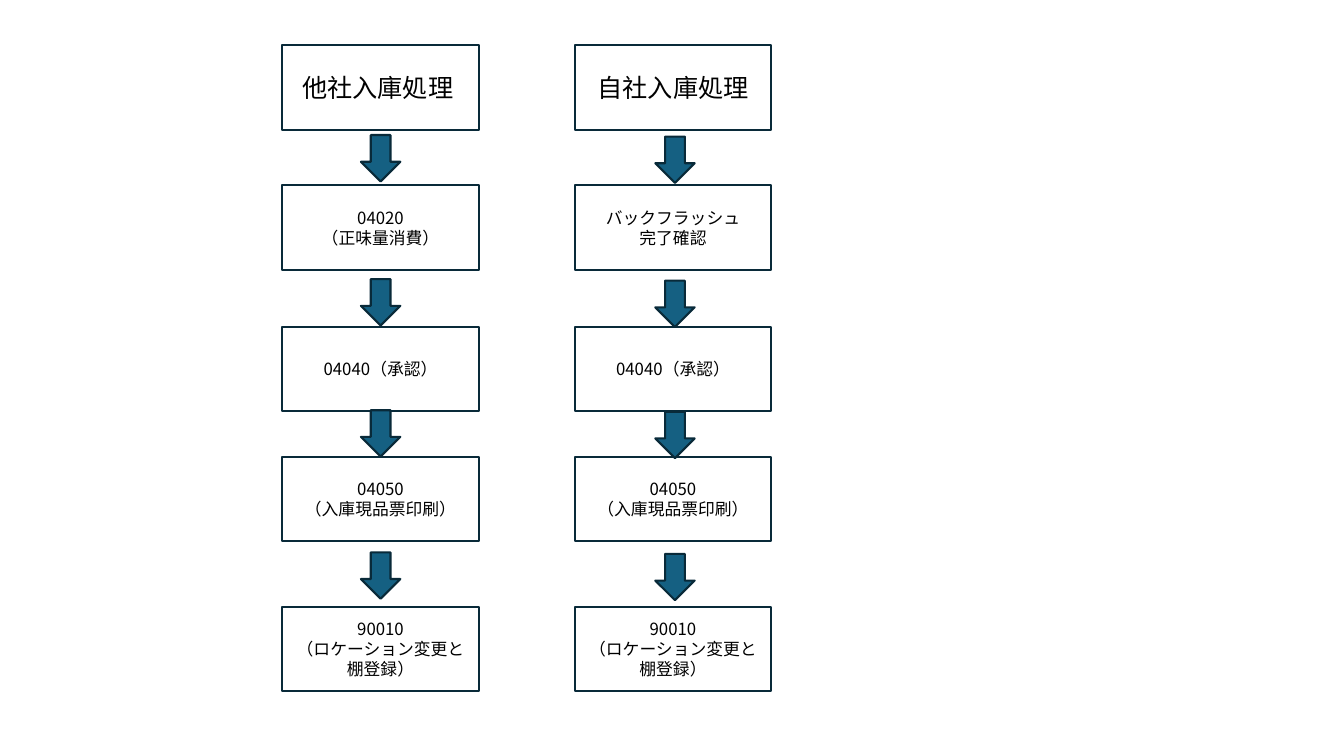
from dataclasses import dataclass

import lxml.etree
import pptx
import pptx.dml.color
import pptx.enum.shapes
import pptx.enum.text
import pptx.oxml.ns
import pptx.util

COLOURS = {"outline": "092A39", "arrow": "156082", "text": "000000"}
FONT = "Noto Sans CJK JP"

# The grid has 100 columns and 100 rows; all lengths below count them.
SLIDE_WIDTH = pptx.util.Inches(13.33)
SLIDE_HEIGHT = pptx.util.Inches(7.5)
COLUMN = SLIDE_WIDTH / 100
ROW = SLIDE_HEIGHT / 100

STEP_SIZE = (14.63, 11.2)
ARROW_SIZE = (2.93, 6.13)
STEP_TOPS = (6, 24.53, 43.2, 60.4, 80.27)
ARROW_TOPS = (17.87, 36.93, 54.27, 73.07)
HEADING_POINTS = 18
STEP_POINTS = 12


@dataclass(frozen=True)
class Flow:
    left: float
    arrow_left: float
    arrow_drop: float
    steps: tuple[str, ...]


# "\n" starts a paragraph, "\v" breaks a line.
SHARED_STEPS = (
    "04040（承認）",
    "04050\v（入庫現品票印刷）",
    "90010\v（ロケーション変更と棚登録）",
)
FLOWS = (
    Flow(21, 26.86, 0, ("他社入庫処理 ", "04020\n（正味量消費）", *SHARED_STEPS)),
    Flow(42.76, 48.76, 0.2, ("自社入庫処理", "バックフラッシュ\v完了確認", *SHARED_STEPS)),
)


def colour(name: str) -> pptx.dml.color.RGBColor:
    return pptx.dml.color.RGBColor.from_string(COLOURS[name])


def add_outlined(page, kind, left: float, top: float, size: tuple[float, float]):
    """Add an unfilled shape placed in grid units."""
    width, height = size
    box = page.shapes.add_shape(
        kind, round(left * COLUMN), round(top * ROW),
        round(width * COLUMN), round(height * ROW),
    )
    box.shadow.inherit = False
    box.fill.background()
    box.line.color.rgb = colour("outline")
    box.line.width = pptx.util.Pt(1.5)
    return box


def add_step(page, left: float, top: float, text: str, points: int) -> None:
    box = add_outlined(page, pptx.enum.shapes.MSO_SHAPE.RECTANGLE, left, top, STEP_SIZE)
    frame = box.text_frame
    frame.word_wrap = True
    frame.vertical_anchor = pptx.enum.text.MSO_ANCHOR.MIDDLE
    frame.text = text
    for para in frame.paragraphs:
        para.alignment = pptx.enum.text.PP_ALIGN.CENTER
        for span in para.runs:
            span.font.size = pptx.util.Pt(points)
            span.font.color.rgb = colour("text")
            span.font.name = FONT
            east_asian = lxml.etree.SubElement(
                span.font._element, pptx.oxml.ns.qn("a:ea")
            )
            east_asian.set("typeface", FONT)


def add_arrow(page, left: float, top: float) -> None:
    arrow = add_outlined(
        page, pptx.enum.shapes.MSO_SHAPE.DOWN_ARROW, left, top, ARROW_SIZE
    )
    arrow.fill.solid()
    arrow.fill.fore_color.rgb = colour("arrow")


def add_flow(page, flow: Flow) -> None:
    for index, (top, text) in enumerate(zip(STEP_TOPS, flow.steps)):
        add_step(page, flow.left, top, text, STEP_POINTS if index else HEADING_POINTS)
    for top in ARROW_TOPS:
        add_arrow(page, flow.arrow_left, top + flow.arrow_drop)


def main() -> None:
    deck = pptx.Presentation()
    deck.slide_width = SLIDE_WIDTH
    deck.slide_height = SLIDE_HEIGHT
    page = deck.slides.add_slide(deck.slide_layouts[6])
    for flow in FLOWS:
        add_flow(page, flow)
    deck.save("out.pptx")


if __name__ == "__main__":
    main()
